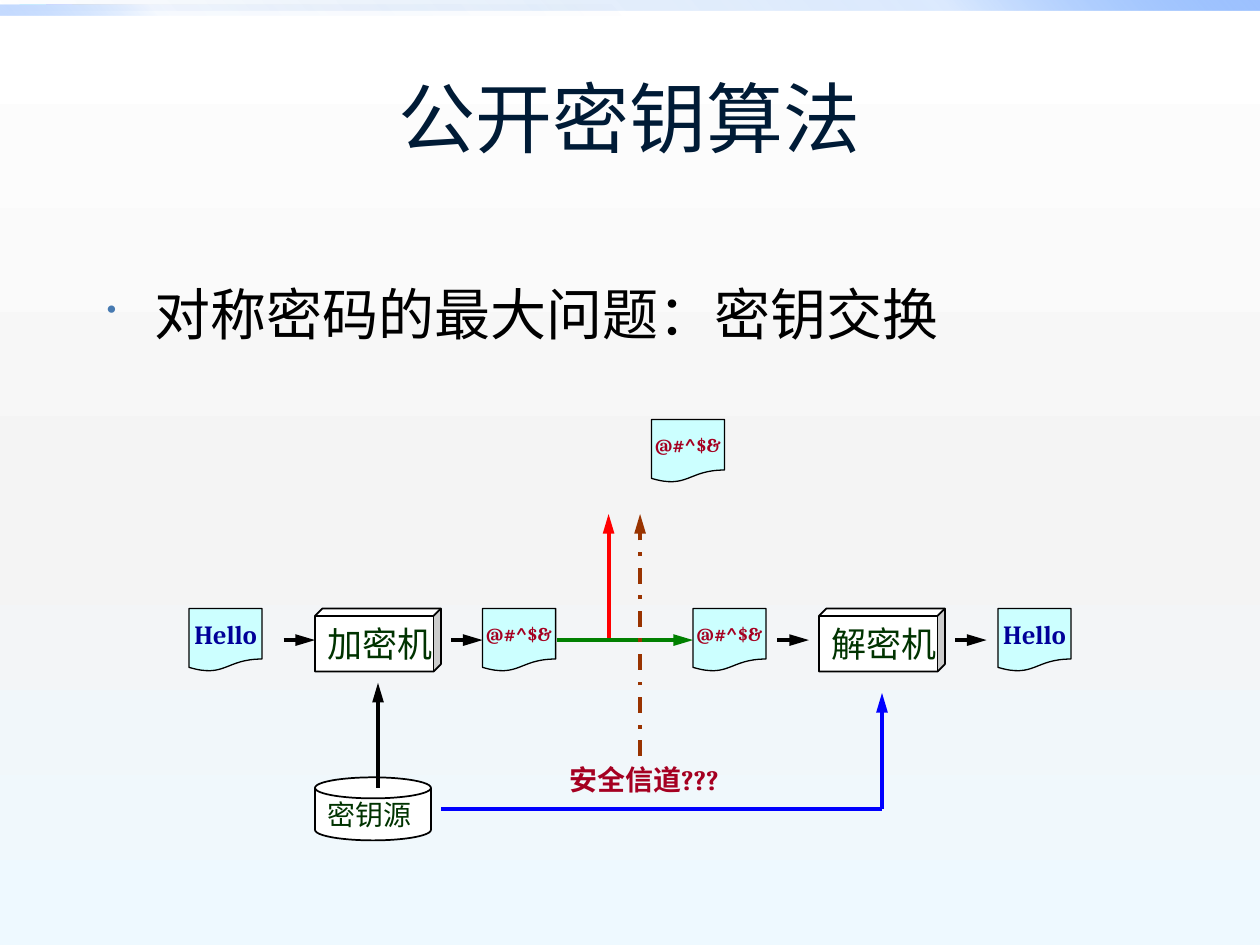
from lxml import etree
from pptx import Presentation
from pptx.dml.color import RGBColor
from pptx.enum.dml import MSO_LINE_DASH_STYLE as Dash
from pptx.enum.shapes import MSO_CONNECTOR, MSO_SHAPE as Shape
from pptx.enum.text import MSO_ANCHOR as Anchor, PP_ALIGN as Align
from pptx.oxml.ns import qn
from pptx.util import Inches, Pt

BLACK = RGBColor(0x00, 0x00, 0x00)
WHITE = RGBColor(0xFF, 0xFF, 0xFF)
NAVY = RGBColor(0x00, 0x1B, 0x36)
BULLET_BLUE = RGBColor(0x47, 0x7A, 0xB1)
PAPER = RGBColor(0xCC, 0xFF, 0xFF)
PLAIN_BLUE = RGBColor(0x00, 0x00, 0x99)
CIPHER_RED = RGBColor(0xA5, 0x00, 0x21)
DARK_GREEN = RGBColor(0x00, 0x33, 0x00)
GREEN = RGBColor(0x00, 0x80, 0x00)
RED = RGBColor(0xFF, 0x00, 0x00)
BLUE = RGBColor(0x00, 0x00, 0xFF)
BROWN = RGBColor(0x99, 0x33, 0x00)
BAR_DARK = RGBColor(0x00, 0x58, 0xB7)
BAR_MID = RGBColor(0x4F, 0x95, 0xFF)
BAR_LIGHT = RGBColor(0x9E, 0xC2, 0xFF)
PALE_GREY = RGBColor(0xF4, 0xF4, 0xF4)
PALE_BLUE = RGBColor(0xEE, 0xF9, 0xFF)

PLAIN_TEXT = dict(size=Pt(15), name="Cambria", bold=True)
CIPHER_TEXT = dict(size=Pt(11), name="Cambria", bold=True)
CHANNEL_TEXT = dict(size=Pt(16), name="Cambria", bold=True)
MACHINE_TEXT = dict(size=Pt(20), name="Cambria")
SOURCE_TEXT = dict(size=Pt(16), name="Cambria")

ROW_TOP, ROW_MID = 4.83, 5.08


def set_gradient(owner, fill, stops, angle):
    """Fill with (position %, colour, opacity %) stops, angle clockwise."""
    fill.gradient()
    grad = owner.element.find(".//" + qn("a:gradFill"))
    stop_list = grad.find(qn("a:gsLst"))
    for old in list(stop_list):
        stop_list.remove(old)
    for pos, color, opacity in stops:
        gs = etree.SubElement(stop_list, qn("a:gs"), pos=str(pos * 1000))
        clr = etree.SubElement(gs, qn("a:srgbClr"), val=str(color))
        if opacity < 100:
            etree.SubElement(clr, qn("a:alpha"), val=str(opacity * 1000))
    grad.find(qn("a:lin")).set("ang", str(angle * 60000))


def add_bar(s, top, width, stops, angle):
    sp = s.shapes.add_shape(Shape.RECTANGLE, 0, Inches(top), Inches(width), Inches(0.08))
    sp.shadow.inherit = False
    sp.line.fill.background()
    set_gradient(sp, sp.fill, stops, angle)


def write(p, text, color, font):
    r = p.add_run()
    r.text = text
    for key, value in font.items():
        setattr(r.font, key, value)
    r.font.color.rgb = color


def add_text(s, box, text, color, font, anchor=Anchor.TOP, align=Align.LEFT):
    tf = s.shapes.add_textbox(*map(Inches, box)).text_frame
    tf.word_wrap = True
    tf.vertical_anchor = anchor
    p = tf.paragraphs[0]
    p.alignment = align
    write(p, text, color, font)
    return p


def add_bullet(p):
    ppr = p._p.get_or_add_pPr()
    ppr.set("marL", str(Inches(0.38)))
    ppr.set("indent", str(-Inches(0.38)))
    clr = etree.SubElement(ppr, qn("a:buClr"))
    etree.SubElement(clr, qn("a:srgbClr"), val=str(BULLET_BLUE))
    etree.SubElement(ppr, qn("a:buSzPct"), val="50000")
    etree.SubElement(ppr, qn("a:buChar"), char="•")


def add_node(s, kind, box, fill, line_width, text, color, font):
    sp = s.shapes.add_shape(kind, *map(Inches, box))
    sp.shadow.inherit = False
    sp.fill.solid()
    sp.fill.fore_color.rgb = fill
    sp.line.color.rgb = BLACK
    sp.line.width = Pt(line_width)
    tf = sp.text_frame
    tf.word_wrap = False
    tf.vertical_anchor = Anchor.MIDDLE
    tf.paragraphs[0].alignment = Align.LEFT
    write(tf.paragraphs[0], text, color, font)
    return sp


def add_document(s, left, top, text, color, font):
    """Add a sheet whose text is centred without side margins, to stay inside."""
    tf = add_node(s, Shape.FLOWCHART_DOCUMENT, (left, top, 0.58, 0.5), PAPER, 0.75,
                  text, color, font).text_frame
    tf.margin_left = tf.margin_right = 0
    tf.paragraphs[0].alignment = Align.CENTER


def add_machine(s, left, text):
    sp = add_node(s, Shape.CUBE, (left, ROW_TOP, 1, 0.5), WHITE, 1,
                  text, DARK_GREEN, MACHINE_TEXT)
    sp.adjustments[0] = 0.118


def add_line(s, start, end, color=BLACK, head=True, dash=None):
    c = s.shapes.add_connector(MSO_CONNECTOR.STRAIGHT, *map(Inches, (*start, *end)))
    c.line.color.rgb = color
    c.line.width = Pt(2.25)
    if dash:
        c.line.dash_style = dash
    if head:
        ln = c.element.spPr.find(qn("a:ln"))
        etree.SubElement(ln, qn("a:tailEnd"), type="triangle", len="lg")
    etree.SubElement(c.element.spPr, qn("a:effectLst"))


def add_backdrop(s):
    set_gradient(s, s.background.fill,
                 [(0, WHITE, 100), (55, PALE_GREY, 100), (100, PALE_BLUE, 100)], 90)
    add_bar(s, 0, 10, [(0, BAR_DARK, 0), (75, BAR_MID, 20), (100, BAR_LIGHT, 100)], 315)
    add_bar(s, 0.04, 5, [(0, BAR_DARK, 0), (75, BAR_MID, 5), (100, BAR_LIGHT, 60)], 135)


def add_diagram(s):
    add_node(s, Shape.FLOWCHART_MAGNETIC_DISK, (2.5, 6.17, 0.92, 0.5), WHITE, 1,
             "密钥源", DARK_GREEN, SOURCE_TEXT)

    for left in (2.25, 3.58, 6.17, 7.58):
        add_line(s, (left, ROW_MID), (left + 0.25, ROW_MID))
    add_line(s, (4.83, ROW_MID), (4.83, 4.08), RED)
    add_line(s, (4.42, ROW_MID), (5.5, ROW_MID), GREEN)
    add_line(s, (3, 6.25), (3, 5.42))
    add_line(s, (3.5, 6.42), (7, 6.42), BLUE, head=False)
    add_line(s, (7, 6.42), (7, 5.5), BLUE)
    add_line(s, (5.08, 6), (5.08, 4.08), BROWN, dash=Dash.DASH_DOT)

    for left in (1.5, 7.92):
        add_document(s, left, ROW_TOP, "Hello", PLAIN_BLUE, PLAIN_TEXT)
    for left, top in ((3.83, ROW_TOP), (5.5, ROW_TOP), (5.17, 3.33)):
        add_document(s, left, top, "@#^$&", CIPHER_RED, CIPHER_TEXT)
    for left, text in ((2.5, "加密机"), (6.5, "解密机")):
        add_machine(s, left, text)
    add_text(s, (4.42, 6, 1.58, 0.37), "安全信道???", CIPHER_RED, CHANNEL_TEXT)


def main():
    prs = Presentation()
    prs.slide_width, prs.slide_height = Inches(10), Inches(7.5)
    s = prs.slides.add_slide(prs.slide_layouts[6])
    add_backdrop(s)
    add_text(s, (0.5, 0.3, 9, 1.25), "公开密钥算法", NAVY,
             dict(size=Pt(44), name="Lato"), Anchor.MIDDLE, Align.CENTER)
    add_bullet(add_text(s, (0.75, 2.17, 8.5, 0.83), "对称密码的最大问题：密钥交换",
                        BLACK, dict(size=Pt(32), name="Cambria")))
    add_diagram(s)
    prs.save("out.pptx")


if __name__ == "__main__":
    main()
